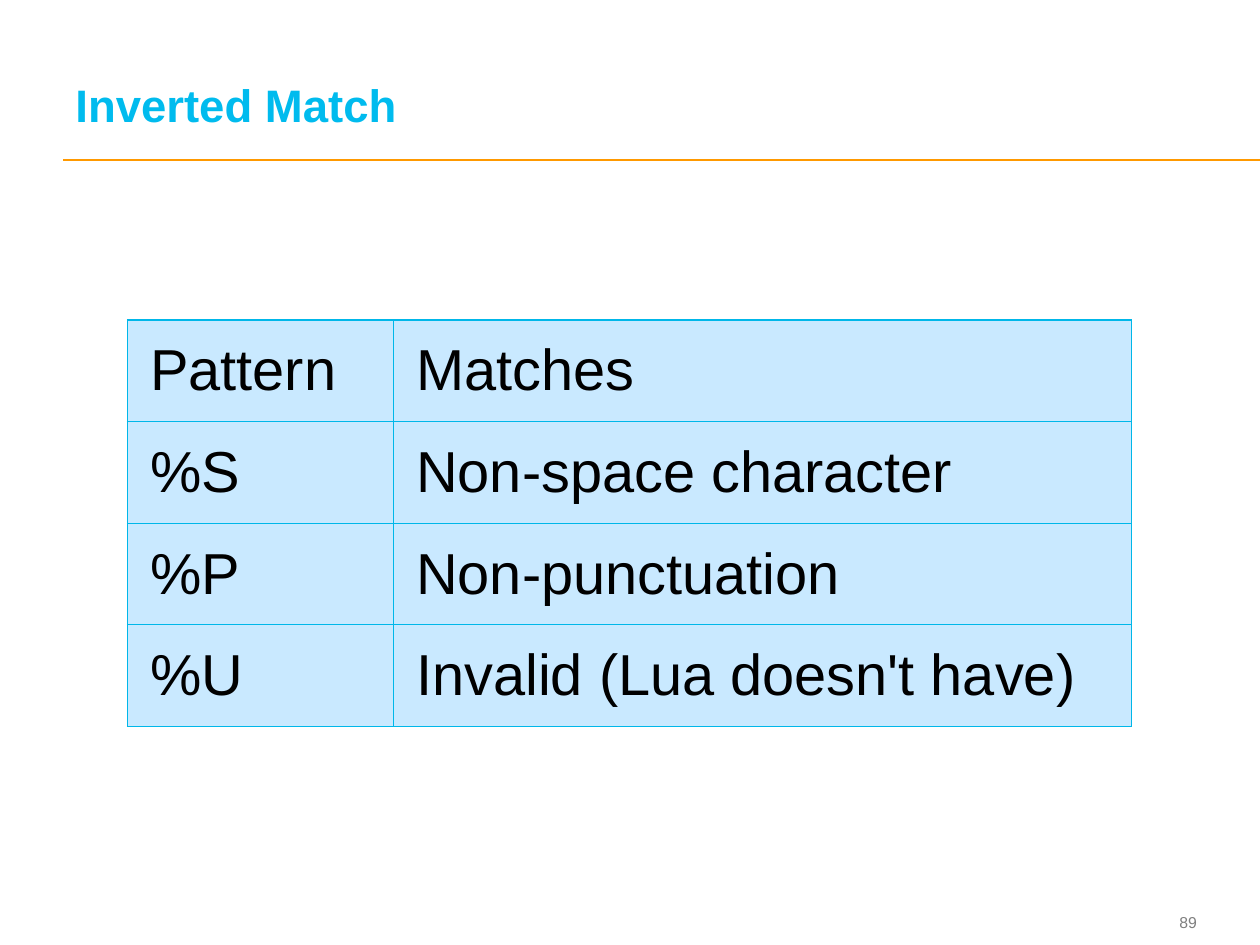
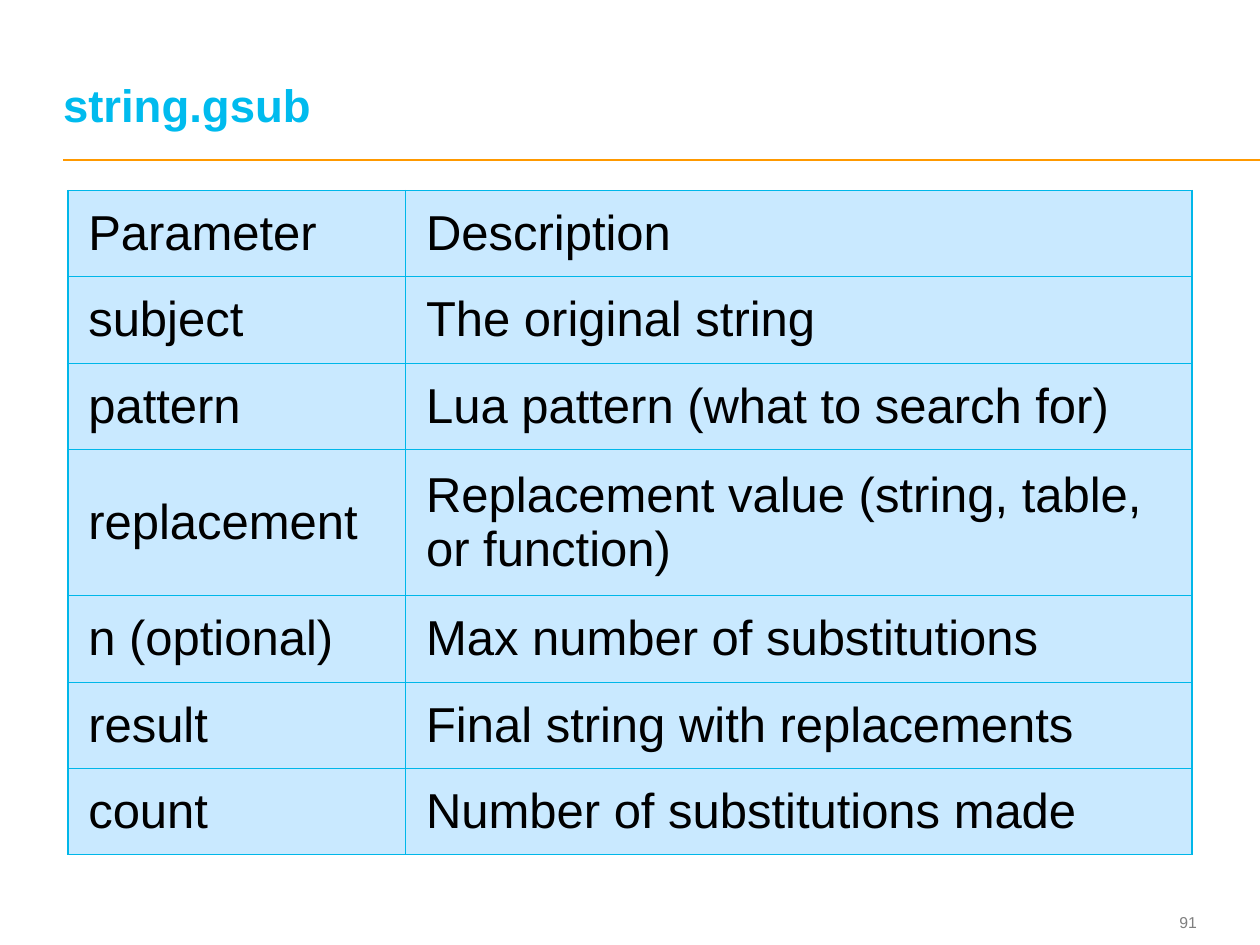
"""Build two slides of Lua pattern tables that share a title, rule and page number."""
from lxml.etree import SubElement as Sub
from pptx import Presentation
from pptx.dml.color import RGBColor as Rgb
from pptx.enum.shapes import MSO_CONNECTOR as Conn
from pptx.enum.text import MSO_ANCHOR as Anchor, MSO_AUTO_SIZE as Auto, PP_ALIGN as Align
from pptx.oxml.ns import qn
from pptx.util import Cm, Pt

HUES = {"title": "00BBEE", "rule": "FF9900", "page": "7F7F7F",
        "text": "000000", "cell": "C9E9FF", "edge": "00B7E9"}
LEFT = 1.27
WIDE = 25.4

MATCH = [("Pattern", "Matches"),
         ("%S", "Non-space character"),
         ("%P", "Non-punctuation"),
         ("%U", "Invalid (Lua doesn't have)")]

GSUB = [("Parameter", "Description"),
        ("subject", "The original string"),
        ("pattern", "Lua pattern (what to search for)"),
        ("replacement", "Replacement value (string, table, or function)"),
        ("n (optional)", "Max number of substitutions"),
        ("result", "Final string with replacements"),
        ("count", "Number of substitutions made")]


def apply(item, **values):
    for name, value in values.items():
        setattr(item, name, value)


def write(frame, text, size, hue, para=None, bold=False):
    line = frame.paragraphs[0]
    line.text = text
    apply(line, **(para or {}))
    apply(line.font, name="Arial", size=Pt(size), bold=bold)
    line.font.color.rgb = Rgb.from_string(HUES[hue])


def pads(side, ends):
    return {"margin_left": Cm(side), "margin_right": Cm(side),
            "margin_top": Cm(ends), "margin_bottom": Cm(ends)}


def place(shape, left, top, width, height):
    apply(shape, left=Cm(left), top=Cm(top), width=Cm(width), height=Cm(height))


def add_title(slide, text, indent):
    title = slide.shapes.title
    place(title, LEFT, 0.48, 22.78, 2.18)
    frame = title.text_frame
    apply(frame, **pads(0, 0))
    apply(frame, margin_left=Cm(indent), vertical_anchor=Anchor.BOTTOM,
          word_wrap=True, auto_size=Auto.NONE)
    write(frame, text, 26, "title",
          {"alignment": Align.LEFT, "line_spacing": Pt(26)}, bold=True)


def add_rule(slide):
    rule = slide.shapes.add_connector(
        Conn.STRAIGHT, Cm(LEFT), Cm(3.23), Cm(WIDE), Cm(3.23))
    rule.line.color.rgb = Rgb.from_string(HUES["rule"])
    rule.line.width = Pt(1)
    Sub(rule.element.spPr, qn("a:effectLst"))


def add_page(slide, number):
    box = slide.shapes.add_textbox(Cm(22.63), Cm(18.24), Cm(1.5), Cm(0.69))
    frame = box.text_frame
    apply(frame, **pads(0, 0), vertical_anchor=Anchor.MIDDLE, word_wrap=True)
    write(frame, str(number), 9, "page", {"alignment": Align.RIGHT})


def add_edges(cell):
    props = cell._tc.get_or_add_tcPr()
    for side in ("lnL", "lnR", "lnT", "lnB"):
        edge = Sub(props, qn(f"a:{side}"), w=str(Pt(0.75)))
        Sub(Sub(edge, qn("a:solidFill")), qn("a:srgbClr"), val=HUES["edge"])


def add_grid(slide, data, spot, cols, rows, size, pad):
    grid = slide.shapes.add_table(
        len(rows), len(cols), Cm(spot[0]), Cm(spot[1]),
        Cm(sum(cols)), Cm(sum(rows))).table
    apply(grid, first_row=False, horz_banding=False)
    for col, width in zip(grid.columns, cols):
        col.width = Cm(width)
    for row, height, texts in zip(grid.rows, rows, data):
        row.height = Cm(height)
        for cell, text in zip(row.cells, texts):
            apply(cell, **pads(*pad), vertical_anchor=Anchor.MIDDLE)
            add_edges(cell)
            cell.fill.solid()
            cell.fill.fore_color.rgb = Rgb.from_string(HUES["cell"])
            write(cell.text_frame, text, size, "text")


def add_slide(deck, title, page, indent=0):
    slide = deck.slides.add_slide(deck.slide_layouts[5])
    add_title(slide, title, indent)
    add_rule(slide)
    add_page(slide, page)
    return slide


def main():
    deck = Presentation()
    apply(deck, slide_width=Cm(WIDE), slide_height=Cm(19.05))

    slide = add_slide(deck, "Inverted Match", 89, indent=0.25)
    add_grid(slide, MATCH, (2.57, 6.45), (5.36, 14.88), [2.05] * 4,
             33, (0.46, 0.23))

    slide = add_slide(deck, "string.gsub", 91)
    add_grid(slide, GSUB, (1.37, 3.84), (6.81, 15.85),
             [1.74] * 3 + [2.95] + [1.74] * 3, 28, (0.41, 0.2))

    deck.save("out.pptx")


if __name__ == "__main__":
    main()
